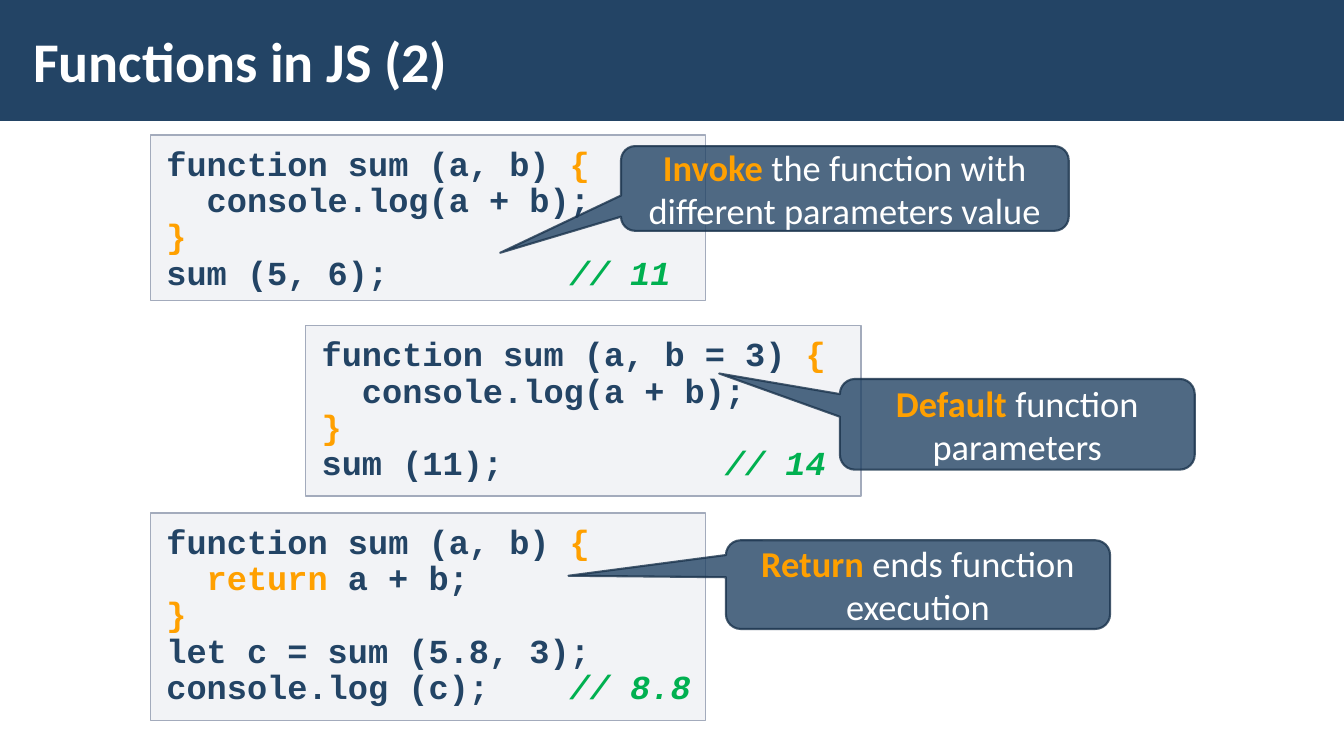
from dataclasses import dataclass
from typing import NamedTuple

from lxml import etree
from pptx import Presentation
from pptx import util as u
from pptx.dml.color import RGBColor
from pptx.enum import shapes, text
from pptx.oxml import ns


@dataclass(frozen=True)
class Theme:
    navy: str = "234465"
    white: str = "FFFFFF"
    orange: str = "FFA000"
    green: str = "00B050"
    code_fill: str = "C2C7D2"
    code_line: str = "A3ABBC"
    callout_line: str = "1A334C"
    body_font: str = "Calibri"
    code_font: str = "Courier New"
    title_size: int = 40
    callout_size: int = 26
    code_size: int = 24


THEME = Theme()


class Span(NamedTuple):
    text: str
    color: str = THEME.navy
    bold: bool = True
    italic: bool = False


class Place(NamedTuple):
    left: float
    top: float
    width: float
    height: float


@dataclass(frozen=True)
class CodeBlock:
    place: Place
    lines: list[list[Span]]


@dataclass(frozen=True)
class Callout:
    place: Place
    tip: tuple[float, float]
    keyword: str
    rest: str


def keyword(words: str) -> Span:
    return Span(words, THEME.orange)


def result(words: str) -> Span:
    return Span(words, THEME.green, italic=True)


def opening(signature: str) -> list[Span]:
    return [Span(f"function {signature} "), keyword("{")]


LOG_LINE = [Span("  console.log(a + b);")]
CLOSING = [keyword("}")]
CODE_WIDTH = 5.51
TAB_STOPS = (2.67, 4)

CODE_BLOCKS = [
    CodeBlock(Place(1.49, 1.34, CODE_WIDTH, 1.64), [
        opening("sum (a, b)"), LOG_LINE, CLOSING,
        [Span("sum (5, 6);\t\t"), result("// 11")]]),
    CodeBlock(Place(3.03, 3.23, CODE_WIDTH, 1.69), [
        opening("sum (a, b = 3)"), LOG_LINE, CLOSING,
        [Span("sum (11);\t\t"), result("// 14")]]),
    CodeBlock(Place(1.49, 5.09, CODE_WIDTH, 2.06), [
        opening("sum (a, b)"),
        [Span("  "), keyword("return"), Span(" a + b;")], CLOSING,
        [Span("let c = sum (5.8, 3);")],
        [Span("console.log (c);\t"), result("// 8.8")]]),
]

CALLOUTS = [
    Callout(Place(7.2, 5.36, 3.81, 0.88), (-0.91, -0.1),
            "Return", " ends function execution"),
    Callout(Place(8.33, 3.76, 3.52, 0.9), (-0.84, -0.56),
            "Default", " function parameters"),
    Callout(Place(6.16, 1.45, 4.44, 0.84), (-0.77, 0.76),
            "Invoke", " the function with different parameters value"),
]


def set_opacity(color_parent, percent: int) -> None:
    """Make the solid fill below an XML element partly transparent."""
    color = color_parent.find(ns.qn("a:solidFill"))[0]
    etree.SubElement(color, ns.qn("a:alpha"), val=str(percent * 1000))


def set_tab_stops(para) -> None:
    tabs = etree.SubElement(para._p.get_or_add_pPr(), ns.qn("a:tabLst"))
    for stop in TAB_STOPS:
        etree.SubElement(tabs, ns.qn("a:tab"), pos=str(u.Inches(stop)), algn="l")


def write_spans(para, spans: list[Span], font: str, size: int) -> None:
    for span in spans:
        run = para.add_run()
        run.text = span.text
        run.font.name = font
        run.font.size = u.Pt(size)
        run.font.bold = span.bold
        run.font.italic = span.italic
        run.font.color.rgb = RGBColor.from_string(span.color)


def set_margins(frame, left: float, right: float, end: float) -> None:
    frame.margin_left, frame.margin_right = u.Inches(left), u.Inches(right)
    frame.margin_top = frame.margin_bottom = u.Inches(end)


def add_box(page, kind, place: Place, fill: str, opacity: int = 100):
    box = page.shapes.add_shape(kind, *map(u.Inches, place))
    box.shadow.inherit = False
    box.fill.solid()
    box.fill.fore_color.rgb = RGBColor.from_string(fill)
    box.line.fill.background()
    if opacity < 100:
        set_opacity(box._element.spPr, opacity)
    box.text_frame.word_wrap = True
    return box


def outline(box, color: str, points: float) -> None:
    box.line.color.rgb = RGBColor.from_string(color)
    box.line.width = u.Pt(points)


def add_title(page, words: str) -> None:
    add_box(page, shapes.MSO_SHAPE.RECTANGLE, Place(0, 0, 13.33, 1.2), THEME.navy)
    box = page.shapes.add_textbox(*map(u.Inches, Place(0.21, 0.11, 10.4, 0.97)))
    frame = box.text_frame
    frame.word_wrap = True
    frame.vertical_anchor = text.MSO_ANCHOR.MIDDLE
    set_margins(frame, 0.12, 0.12, 0.04)
    write_spans(frame.paragraphs[0], [Span(words, THEME.white)],
                THEME.body_font, THEME.title_size)


def add_code(page, block: CodeBlock) -> None:
    box = add_box(page, shapes.MSO_SHAPE.RECTANGLE, block.place, THEME.code_fill, 20)
    outline(box, THEME.code_line, 1)
    frame = box.text_frame
    frame.vertical_anchor = text.MSO_ANCHOR.TOP
    # The narrower right margin keeps the longest result comment on its line.
    set_margins(frame, 0.16, 0.08, 0.12)
    for index, spans in enumerate(block.lines):
        para = frame.add_paragraph() if index else frame.paragraphs[0]
        para.alignment = text.PP_ALIGN.LEFT
        para.line_spacing = 0.9
        set_tab_stops(para)
        write_spans(para, spans, THEME.code_font, THEME.code_size)


def add_callout(page, callout: Callout) -> None:
    box = add_box(page, shapes.MSO_SHAPE.ROUNDED_RECTANGULAR_CALLOUT,
                  callout.place, THEME.navy, 80)
    box.adjustments[0], box.adjustments[1] = callout.tip
    outline(box, THEME.callout_line, 1.5)
    set_opacity(box._element.spPr.find(ns.qn("a:ln")), 80)
    box.text_frame.vertical_anchor = text.MSO_ANCHOR.MIDDLE
    para = box.text_frame.paragraphs[0]
    para.alignment = text.PP_ALIGN.CENTER
    spans = [keyword(callout.keyword), Span(callout.rest, THEME.white, bold=False)]
    write_spans(para, spans, THEME.body_font, THEME.callout_size)


def main() -> None:
    deck = Presentation()
    deck.slide_width, deck.slide_height = u.Inches(13.33), u.Inches(7.5)
    page = deck.slides.add_slide(deck.slide_layouts[6])
    add_title(page, "Functions in JS (2)")
    for block in CODE_BLOCKS:
        add_code(page, block)
    for callout in CALLOUTS:
        add_callout(page, callout)
    deck.save("out.pptx")


if __name__ == "__main__":
    main()
